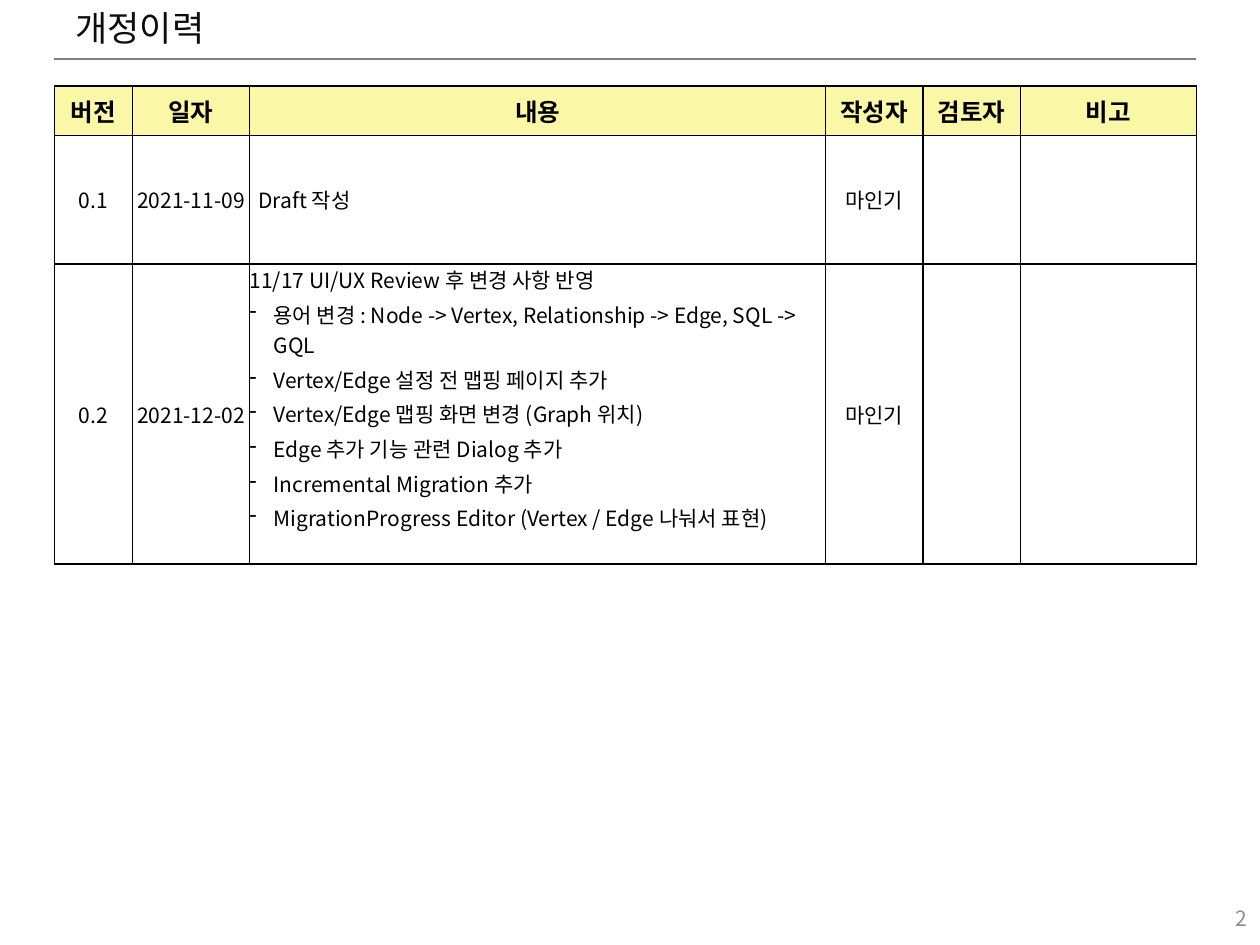
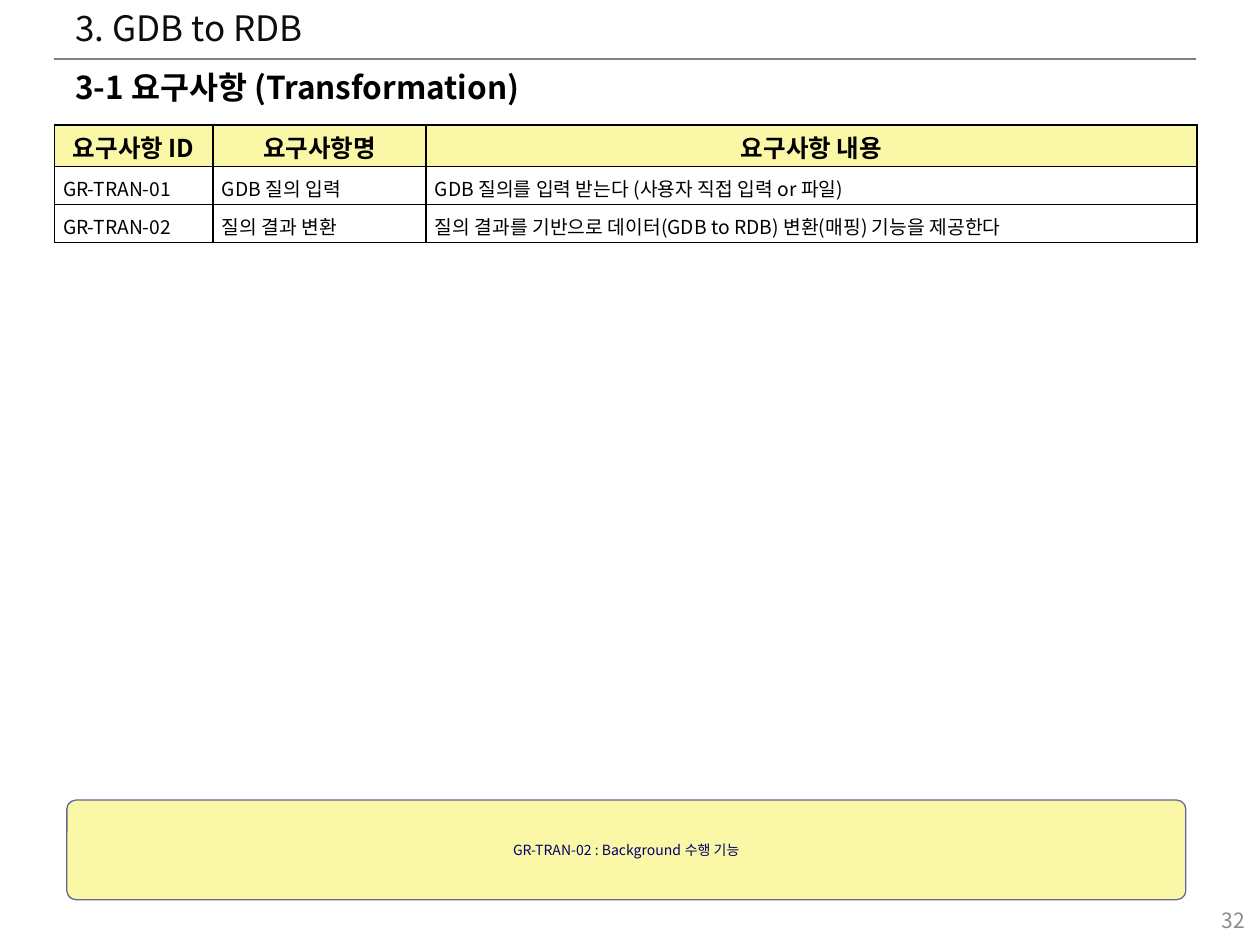
from dataclasses import dataclass, replace
from typing import NamedTuple, Optional

from pptx import Presentation
from pptx.dml.color import RGBColor
from pptx.enum import shapes, text
from pptx.oxml import ns
from pptx.util import Pt
from lxml import etree

LEFT, CENTER, RIGHT = text.PP_ALIGN.LEFT, text.PP_ALIGN.CENTER, text.PP_ALIGN.RIGHT
TOP, MIDDLE = text.MSO_ANCHOR.TOP, text.MSO_ANCHOR.MIDDLE


@dataclass(frozen=True)
class Theme:
    font: str = "Noto Sans CJK KR"
    title: str = "0D0D0D"
    ink: str = "000000"
    rule: str = "808080"
    page_number: str = "8C8C8C"
    band: str = "FAF8A6"
    paper: str = "FFFFFF"
    note_ink: str = "000066"
    note_line: str = "666699"
    title_size: float = 20
    section_size: float = 18
    header_size: float = 14
    body_size: float = 12
    detail_size: float = 11
    note_size: float = 8


THEME = Theme()


class Area(NamedTuple):
    left: float
    top: float
    width: float
    height: float

    def points(self) -> tuple:
        return tuple(Pt(value) for value in self)


@dataclass(frozen=True)
class TextStyle:
    size: float
    color: str = THEME.ink
    bold: bool = False
    align: text.PP_ALIGN = LEFT
    anchor: text.MSO_ANCHOR = MIDDLE
    insets: tuple = (0, 0, 0, 0)
    before: float = 0
    after: float = 0
    spacing: float = 1
    fill: Optional[str] = None


class Cell(NamedTuple):
    words: str
    style: TextStyle


class Grid(NamedTuple):
    left: float
    top: float
    columns: tuple
    rows: tuple
    cells: list


TITLE = TextStyle(THEME.title_size, THEME.title, anchor=TOP, insets=(7.2, 0, 7.2, 0))
SECTION = TextStyle(THEME.section_size, bold=True, anchor=TOP, insets=(7.2, 1.4, 7.2, 0))
PAGE_NUMBER = TextStyle(THEME.body_size, THEME.page_number, align=RIGHT,
                        insets=(7.2, 3.6, 7.2, 3.6))
NOTE = TextStyle(THEME.note_size, THEME.note_ink, align=CENTER)
HEADER = TextStyle(THEME.header_size, bold=True, align=CENTER, before=2.8, fill=THEME.band)
CENTERED = TextStyle(THEME.body_size, align=CENTER, before=2.4)
CHANGE = replace(CENTERED, align=LEFT, insets=(5, 0, 0, 0))
CHANGE_LIST = replace(CENTERED, align=LEFT, anchor=TOP)
REQUIREMENT_HEADER = replace(HEADER, insets=(0.7, 0.7, 0.7, 0))
REQUIREMENT = TextStyle(THEME.detail_size, insets=(5, 0, 5, 0), after=2,
                        spacing=1.15, fill=THEME.paper)

BULLET = "- "
BULLET_INDENT = 13.7


def rgb(color: str) -> RGBColor:
    return RGBColor.from_string(color)


def add_bullet(para) -> None:
    properties = para._p.get_or_add_pPr()
    properties.set("marL", str(Pt(BULLET_INDENT)))
    properties.set("indent", str(-Pt(BULLET_INDENT)))
    etree.SubElement(properties, ns.qn("a:buChar")).set("char", BULLET.strip())


def write(frame, words: str, style: TextStyle) -> None:
    """Fill a text frame; lines that start with a dash become bullets."""
    lines = words.split("\n")
    frame.text = "\n".join(line.removeprefix(BULLET) for line in lines)
    for line, para in zip(lines, frame.paragraphs):
        para.alignment = style.align
        para.line_spacing = style.spacing
        para.space_before, para.space_after = Pt(style.before), Pt(style.after)
        if line.startswith(BULLET):
            add_bullet(para)
        for span in para.runs:
            font = span.font
            font.size, font.bold, font.name = Pt(style.size), style.bold, THEME.font
            font.color.rgb = rgb(style.color)
            east_asian = etree.SubElement(span._r.get_or_add_rPr(), ns.qn("a:ea"))
            east_asian.set("typeface", THEME.font)


def set_margins(target, insets: tuple) -> None:
    (target.margin_left, target.margin_top,
     target.margin_right, target.margin_bottom) = (Pt(inset) for inset in insets)


def write_in_shape(shape, words: str, style: TextStyle) -> None:
    frame = shape.text_frame
    frame.word_wrap = True
    frame.vertical_anchor = style.anchor
    set_margins(frame, style.insets)
    write(frame, words, style)


def add_text(page, area: Area, words: str, style: TextStyle) -> None:
    write_in_shape(page.shapes.add_textbox(*area.points()), words, style)


def add_borders(cell) -> None:
    properties = cell._tc.get_or_add_tcPr()
    for position, side in enumerate(("lnL", "lnR", "lnT", "lnB")):
        line = etree.Element(ns.qn(f"a:{side}"), w=str(Pt(1)))
        fill = etree.SubElement(line, ns.qn("a:solidFill"))
        etree.SubElement(fill, ns.qn("a:srgbClr")).set("val", THEME.ink)
        properties.insert(position, line)


def add_grid(page, grid: Grid) -> None:
    area = Area(grid.left, grid.top, sum(grid.columns), sum(grid.rows))
    table = page.shapes.add_table(len(grid.rows), len(grid.columns), *area.points()).table
    table.first_row = table.horz_banding = False
    for column, width in zip(table.columns, grid.columns):
        column.width = Pt(width)
    for row, height, contents in zip(table.rows, grid.rows, grid.cells):
        row.height = Pt(height)
        for cell, (words, style) in zip(row.cells, contents):
            set_margins(cell, style.insets)
            cell.vertical_anchor = style.anchor
            if style.fill:
                cell.fill.solid()
                cell.fill.fore_color.rgb = rgb(style.fill)
            else:
                cell.fill.background()
            add_borders(cell)
            if words:
                write(cell.text_frame, words, style)


def add_note(page, area: Area, words: str) -> None:
    note = page.shapes.add_shape(shapes.MSO_SHAPE.ROUNDED_RECTANGLE, *area.points())
    note.adjustments[0] = 0.09
    note.shadow.inherit = False
    note.fill.solid()
    note.fill.fore_color.rgb = rgb(THEME.band)
    note.line.color.rgb = rgb(THEME.note_line)
    note.line.width = Pt(0.75)
    write_in_shape(note, words, NOTE)


def add_page(deck, title: str, number: str, number_area: Area):
    """Start a page with the title, the rule below it and the page number."""
    page = deck.slides.add_slide(deck.slide_layouts[6])
    rule = page.shapes.add_connector(shapes.MSO_CONNECTOR.STRAIGHT,
                                     Pt(31), Pt(33.8), Pt(683.3), Pt(33.8))
    rule.line.color.rgb = rgb(THEME.rule)
    rule.line.width = Pt(1.25)
    etree.SubElement(rule._element.spPr, ns.qn("a:effectLst"))
    add_text(page, Area(36, 3.6, 648, 30), title, TITLE)
    add_text(page, number_area, number, PAGE_NUMBER)
    return page


def styled_row(styles: tuple, *words: str) -> list[Cell]:
    return [Cell(*pair) for pair in zip(words, styles)]


def add_revision_history(deck) -> None:
    page = add_page(deck, "개정이력", "2", Area(552.2, 510.5, 167.8, 28.8))
    changes = "\n".join((
        "11/17 UI/UX Review 후 변경 사항 반영",
        "- 용어 변경 : Node -> Vertex, Relationship -> Edge, SQL -> GQL",
        "- Vertex/Edge 설정 전 맵핑 페이지 추가",
        "- Vertex/Edge 맵핑 화면 변경 (Graph 위치)",
        "- Edge 추가 기능 관련 Dialog 추가",
        "- Incremental Migration 추가",
        "- MigrationProgress Editor (Vertex / Edge 나눠서 표현)",
    ))

    def revision(change_style: TextStyle, *words: str) -> list[Cell]:
        return styled_row((CENTERED,) * 2 + (change_style,) + (CENTERED,) * 3, *words)

    add_grid(page, Grid(31, 49, (44.6, 67.1, 329.1, 55.7, 55.7, 100.6), (28.3, 73.6, 171.3), [
        styled_row((HEADER,) * 6, "버전", "일자", "내용", "작성자", "검토자", "비고"),
        revision(CHANGE, "0.1", "2021-11-09", "Draft 작성", "마인기", "", ""),
        revision(CHANGE_LIST, "0.2", "2021-12-02", changes, "마인기", "", ""),
    ]))


def add_requirements(deck) -> None:
    page = add_page(deck, "3. GDB to RDB", "32", Area(550.8, 511.2, 167.8, 28.8))
    add_text(page, Area(36, 37.4, 648, 28.8), "3-1 요구사항 (Transformation)", SECTION)
    body = (REQUIREMENT,) * 3
    add_grid(page, Grid(31, 71.4, (90.8, 121.7, 440.5), (23.8, 21.7, 21.7), [
        styled_row((REQUIREMENT_HEADER,) * 3, "요구사항 ID", "요구사항명", "요구사항 내용"),
        styled_row(body, "GR-TRAN-01", "GDB 질의 입력",
                   "GDB 질의를 입력 받는다 (사용자 직접 입력 or 파일)"),
        styled_row(body, "GR-TRAN-02", "질의 결과 변환",
                   "질의 결과를 기반으로 데이터(GDB to RDB) 변환(매핑) 기능을 제공한다"),
    ]))
    add_note(page, Area(38.2, 457.2, 639.4, 56.9), "GR-TRAN-02 : Background 수행 기능")


def main() -> None:
    deck = Presentation()
    deck.slide_width, deck.slide_height = Pt(720), Pt(540)
    add_revision_history(deck)
    add_requirements(deck)
    deck.save("out.pptx")


if __name__ == "__main__":
    main()
